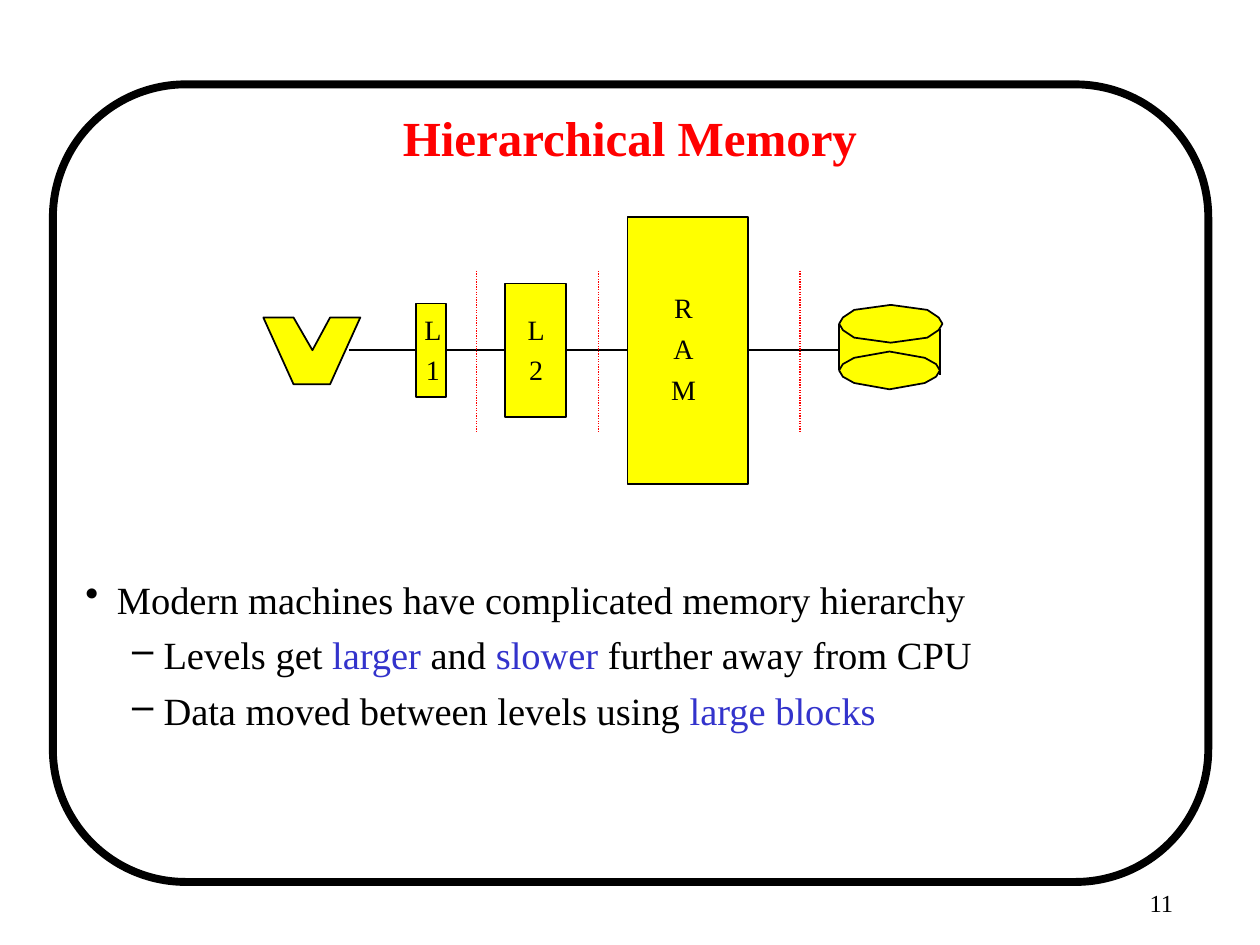
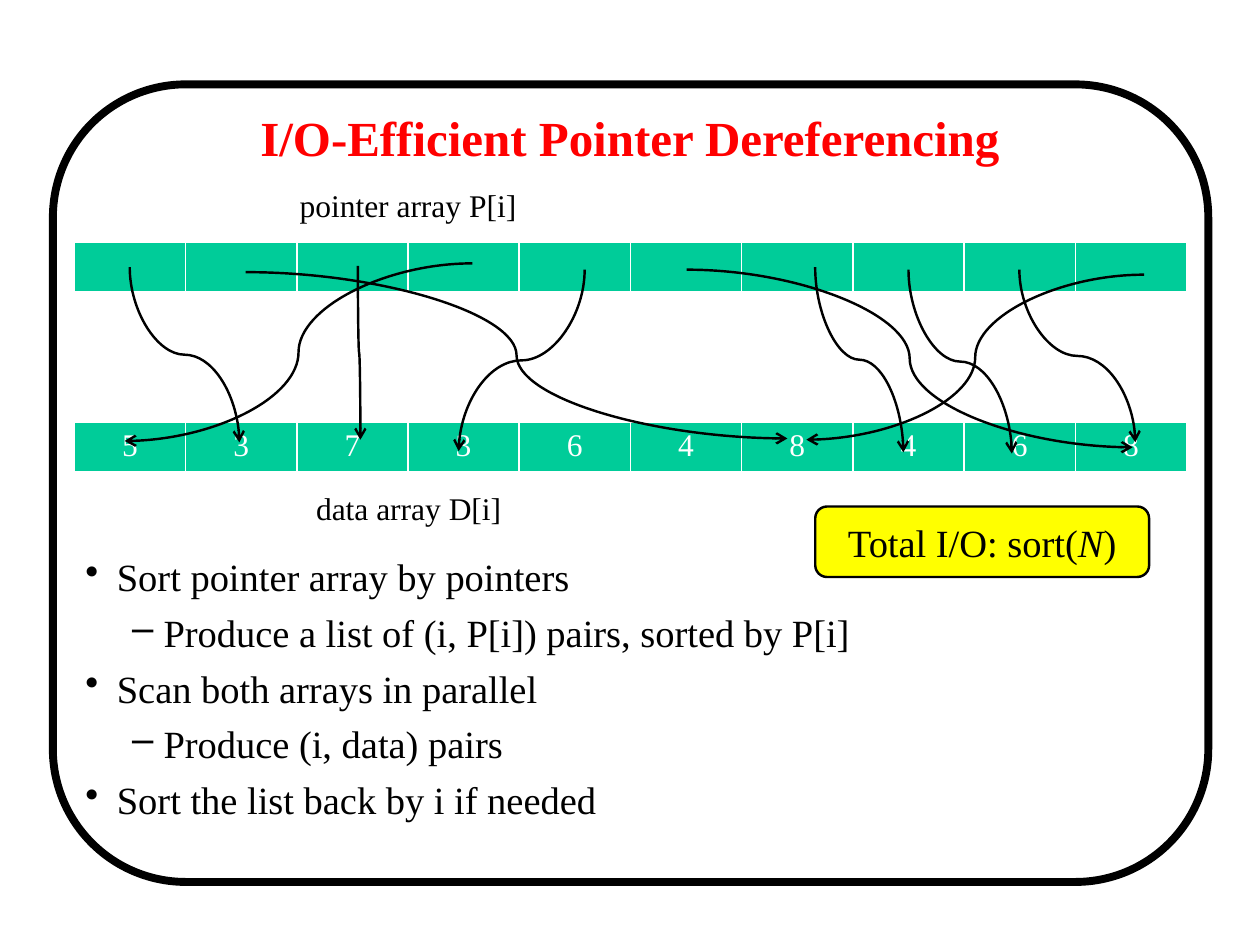
import pptx
import pptx.dml.color
import pptx.enum.dml
import pptx.enum.shapes
import pptx.enum.text
import pptx.oxml
import pptx.oxml.ns
import pptx.util

SCALE = 9144  # EMU per px, 100 px to the inch
FONT = "Times New Roman"
BLACK, WHITE, RED = "000000", "FFFFFF", "FF0000"
BLUE, YELLOW, GREEN = "3333CC", "FFFF00", "00CC99"
INK = 1.38  # line width in points on the pointer slide

SHAPE = pptx.enum.shapes.MSO_SHAPE
LINK = pptx.enum.shapes.MSO_CONNECTOR
ALIGN = pptx.enum.text.PP_ALIGN
ANCHOR = pptx.enum.text.MSO_ANCHOR


def px(*sizes):
    return [round(size * SCALE) for size in sizes]


def color(code):
    return pptx.dml.color.RGBColor.from_string(code)


def node(parent, tag, **attrs):
    item = pptx.oxml.parse_xml(f"<a:{tag} {pptx.oxml.ns.nsdecls('a')}/>")
    for name, value in attrs.items():
        item.set(name, value)
    parent.append(item)
    return item


def write(para, runs, size, align=None):
    """Fill a paragraph; a run is a text or a tuple of text, colour, italic."""
    para.alignment = align
    for part in runs:
        text, code, slant = part if isinstance(part, tuple) else (part, BLACK, None)
        run = para.add_run()
        run.text = text
        run.font.name = FONT
        run.font.size = pptx.util.Pt(size)
        run.font.color.rgb = color(code)
        run.font.italic = slant


def stack(frame, lines, size, align=None):
    """Write one paragraph a line, with a quarter of the size between them."""
    for i, runs in enumerate(lines):
        para = frame.add_paragraph() if i else frame.paragraphs[0]
        if i:
            para.space_before = pptx.util.Pt(size / 4)
        write(para, runs, size, align)


def label(slide, box, lines, size, align=None):
    frame = slide.shapes.add_textbox(*px(*box)).text_frame
    frame.word_wrap = True
    stack(frame, lines, size, align)
    return frame


def points(slide, box, items):
    """Add a bullet list; an item is its level and its runs."""
    frame = label(slide, box, [runs for _, runs in items], 22)
    for para, (level, _) in zip(frame.paragraphs, items):
        para.level = level
        props = para._p.get_or_add_pPr()
        props.set("marL", str(px((25, 62)[level])[0]))
        props.set("indent", str(px(-25)[0]))
        node(props, "buChar", char="•–"[level])


def paint(shape, fill, width):
    shape.shadow.inherit = False
    if fill:
        shape.fill.solid()
        shape.fill.fore_color.rgb = color(fill)
    else:
        shape.fill.background()
    if width:
        shape.line.color.rgb = color(BLACK)
        shape.line.width = pptx.util.Pt(width)
    else:
        shape.line.fill.background()
    return shape


def block(slide, kind, box, fill=YELLOW, width=1):
    return paint(slide.shapes.add_shape(kind, *px(*box)), fill, width)


def outline(slide, dots):
    pen = slide.shapes.build_freeform(*dots[0], scale=SCALE)
    pen.add_line_segments(dots[1:], close=True)
    return paint(pen.convert_to_shape(), YELLOW, 1)


def disk(slide, x, y, half):
    """Draw a flat twelve-sided disk around x, y."""
    arc = [(1, 0), (0.93, 0.33), (0.7, 0.7), (0, 1)]
    upper = arc + [(-a, b) for a, b in arc[-2::-1]]
    ring = upper + [(a, -b) for a, b in upper[-2:0:-1]]
    outline(slide, [(round(x + a * half), round(y - b * 15)) for a, b in ring])


def stroke(slide, ends, code=BLACK, width=1.0, kind=LINK.STRAIGHT):
    line = slide.shapes.add_connector(kind, *px(*ends))
    line.line.color.rgb = color(code)
    line.line.width = pptx.util.Pt(width)
    node(line._element.spPr, "effectLst")
    return line


def curve(slide, x1, y1, x2, y2, upright):
    """Draw a curved arrow that leaves its start upright or sideways."""
    ends = x1, y1, x2, y2
    if upright:
        mid, center = (x1 + x2) / 2, (y1 + y2) / 2
        long, short = (y2 - y1) / 2, abs(x2 - x1) / 2
        ends = mid - long, center - short, mid + long, center + short
    line = stroke(slide, ends, width=INK, kind=LINK.CURVE)
    if upright:
        xfrm = line._element.spPr.find(pptx.oxml.ns.qn("a:xfrm"))
        xfrm.set("rot", str((270 if x2 > x1 else 90) * 60000))
        if x2 > x1:
            xfrm.set("flipH", "1")
    node(line.line._get_or_add_ln(), "tailEnd", type="arrow")


def array(slide, top, values):
    shape = slide.shapes.add_table(1, len(values), *px(59, top, 883, 41))
    table = shape.table
    table.first_row = table.horz_banding = False
    for cell, value in zip(table.rows[0].cells, values):
        props = cell._tc.get_or_add_tcPr()
        for side, width in zip("LRTB", (1, 1, 1, 3)):
            edge = node(props, "ln" + side, w=str(pptx.util.Pt(width)))
            node(node(edge, "solidFill"), "srgbClr", val=WHITE)
        cell.fill.solid()
        cell.fill.fore_color.rgb = color(GREEN)
        if value:
            write(cell.text_frame.paragraphs[0], [(value, WHITE, None)], 18, ALIGN.CENTER)


def border(slide, layout):
    """Put the rounded frame on the layout, behind all slide content."""
    frame = block(slide, SHAPE.FLOWCHART_ALTERNATE_PROCESS, (42, 67, 917, 633), None, 4.5)
    frame._element.nvSpPr.cNvPr.set("id", "99")
    layout.shapes._spTree.insert(2, frame._element)


def start(deck, layout, text):
    slide = deck.slides.add_slide(layout)
    title = slide.shapes.title
    title.left, title.top, title.width, title.height = px(75, 75, 850, 67)
    frame = title.text_frame
    frame.auto_size = pptx.enum.text.MSO_AUTO_SIZE.NONE
    frame.vertical_anchor = ANCHOR.MIDDLE
    write(frame.paragraphs[0], [(text, RED, None)], 28, ALIGN.CENTER)
    frame.paragraphs[0].runs[0].font.bold = True
    return slide


def memory(slide):
    label(slide, (733, 700, 208, 50), [["11"]], 14, ALIGN.RIGHT)
    points(slide, (58, 452, 883, 234), [
        (0, ["Modern machines have complicated memory hierarchy"]),
        (1, ["Levels get ", ("larger ", BLUE, None), "and", (" slower", BLUE, None),
             " further away from CPU"]),
        (1, ["Data moved between levels using ", ("large blocks", BLUE, None)]),
    ])
    for left, right in (277, 330), (353, 401), (449, 498), (594, 666):
        stroke(slide, (left, 278, right, 278))

    outline(slide, [(209, 252), (233, 252), (248, 278), (262, 252),
                    (286, 252), (262, 305), (233, 305)])
    for box, name, spot in [
        ((330, 241, 24, 74), "L1", (323, 243)),
        ((401, 225, 48, 106), "L2", (405, 243)),
        ((498, 172, 96, 212), "RAM", (522, 226)),
    ]:
        block(slide, SHAPE.RECTANGLE, box)
        label(slide, (*spot, 41, 5 + 32 * len(name)), name, 16, ALIGN.CENTER)

    block(slide, SHAPE.RECTANGLE, (666, 261, 80, 34), width=0)
    disk(slide, 707, 257, 41)
    stroke(slide, (666, 257, 666, 294))
    stroke(slide, (746, 261, 746, 298))
    disk(slide, 706, 294, 40)

    for x in 378, 475, 635:
        split = stroke(slide, (x, 215, x, 343), RED, 0.75)
        split.line.dash_style = pptx.enum.dml.MSO_LINE.ROUND_DOT


def lookup(slide):
    points(slide, (58, 434, 883, 249), [
        (0, ["Sort pointer array by pointers"]),
        (1, ["Produce a list of (i, P[i]) pairs, sorted by P[i]"]),
        (0, ["Scan both arrays in parallel"]),
        (1, ["Produce (i, data) pairs"]),
        (0, ["Sort the list back by i if needed"]),
    ])
    array(slide, 192, [""] * 10)
    array(slide, 335, "5373648468")
    for ends in [(103, 212, 190, 351), (284, 211, 286, 349), (464, 214, 364, 358),
                 (647, 212, 717, 359), (721, 214, 803, 360), (809, 214, 901, 351)]:
        curve(slide, *ends, upright=True)
    for ends in [(195, 216, 625, 348), (375, 209, 99, 350),
                 (545, 214, 899, 355), (908, 218, 640, 349)]:
        curve(slide, *ends, upright=False)
    label(slide, (228, 143, 236, 47), [["pointer array P[i]"]], 18)
    label(slide, (241, 383, 202, 47), [["data array D[i]"]], 18)

    total = block(slide, SHAPE.ROUNDED_RECTANGLE, (647, 402, 265, 56), width=INK)
    stack(total.text_frame, [["Total I/O: sort(", ("N", BLACK, True), ")"]], 22, ALIGN.CENTER)


def main():
    deck = pptx.Presentation()
    deck.slide_width, deck.slide_height = px(1000, 750)
    layout = deck.slide_layouts[5]
    first = start(deck, layout, "Hierarchical Memory")
    border(first, layout)
    memory(first)
    lookup(start(deck, layout, "I/O-Efficient Pointer Dereferencing"))
    deck.save("out.pptx")


if __name__ == "__main__":
    main()
